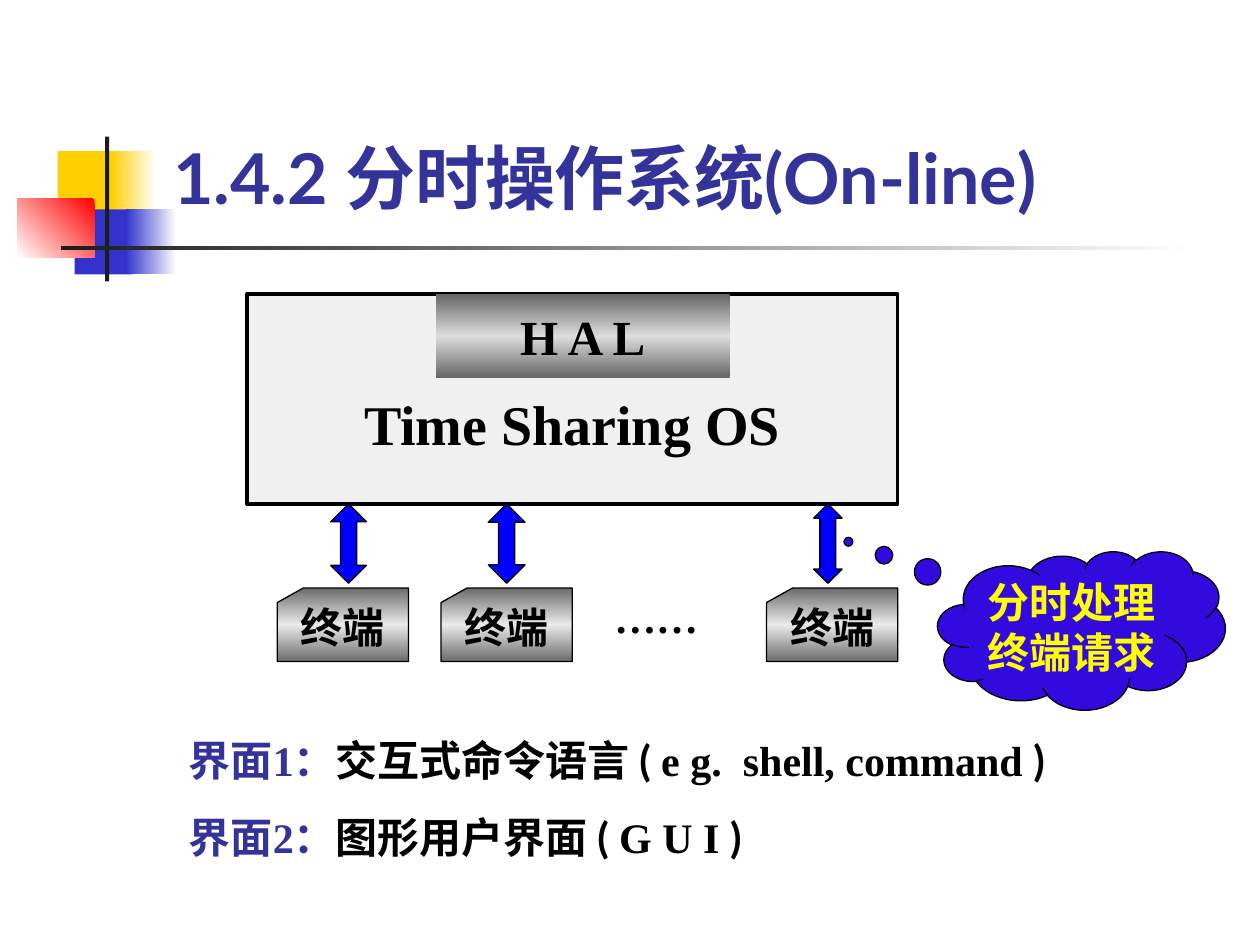
from lxml.etree import SubElement
from pptx import Presentation
from pptx.dml.color import RGBColor
from pptx.enum.shapes import MSO_SHAPE
from pptx.enum.text import MSO_ANCHOR, MSO_AUTO_SIZE, PP_ALIGN
from pptx.oxml.ns import qn
from pptx.util import Inches, Pt

COLORS = {
    "white": "FFFFFF", "black": "000000", "ink": "1C1C1C", "title": "333399",
    "gold": "FFCF01", "indigo": "3333CC", "red": "FF0000", "arrow": "0000FF",
    "cloud": "320ADE", "yellow": "FFFF00", "panel": "EAEAEA",
    "hal_dark": "656565", "hal_light": "DDDDDD", "card_dark": "6B6B6B",
}
SERIF, SANS = "Times New Roman", "Lato"
COLS, ROWS = 120, 90


def rgb(name):
    return RGBColor.from_string(COLORS[name])


def write(tf, paragraphs, size=24, color="black", font=SERIF, align=PP_ALIGN.LEFT,
          anchor=MSO_ANCHOR.TOP, insets=(0, 0, 0, 0), wrap=True, gap=0,
          fit=MSO_AUTO_SIZE.NONE):
    tf.word_wrap, tf.auto_size, tf.vertical_anchor = wrap, fit, anchor
    tf.margin_left, tf.margin_top, tf.margin_right, tf.margin_bottom = map(Inches, insets)
    for i, runs in enumerate(paragraphs):
        p = tf.add_paragraph() if i else tf.paragraphs[0]
        p.alignment = align
        p.space_before = Pt(gap if i else 0)
        for text, *style in runs:
            r = p.add_run()
            r.text = text
            r.font.size, r.font.bold = Pt(size), True
            r.font.name = SANS if "sans" in style else SERIF if style else font
            r.font.color.rgb = rgb("title" if "label" in style else color)


class Deck:
    def __init__(self):
        self.prs = Presentation()
        self.prs.slide_width, self.prs.slide_height = Inches(10), Inches(7.5)
        self.s = self.prs.slides.add_slide(self.prs.slide_layouts[5])

    def box(self, x, y, w, h):
        dx, dy = self.prs.slide_width / COLS, self.prs.slide_height / ROWS
        return [round(v) for v in (x * dx, y * dy, w * dx, h * dy)]

    def title(self, area, text):
        sp = self.s.shapes.title
        sp.left, sp.top, sp.width, sp.height = self.box(*area)
        write(sp.text_frame, [[(text,)]], size=40, color="title", font=SANS,
              anchor=MSO_ANCHOR.BOTTOM)

    def text(self, area, paragraphs):
        sp = self.s.shapes.add_textbox(*self.box(*area))
        write(sp.text_frame, paragraphs, gap=15, fit=MSO_AUTO_SIZE.SHAPE_TO_FIT_TEXT)

    def gradient(self, sp, colors, angle):
        sp.fill.gradient()
        sp.fill.gradient_angle = (360 - angle) % 360
        stops = sp.element.spPr.find(qn("a:gradFill")).find(qn("a:gsLst"))
        for gs in list(stops):
            stops.remove(gs)
        for i, name in enumerate(colors):
            gs = SubElement(stops, qn("a:gs"), pos=str(i * 100000 // (len(colors) - 1)))
            SubElement(gs, qn("a:srgbClr"), val=COLORS[name])

    def shape(self, area, fill, kind=MSO_SHAPE.RECTANGLE, angle=180, line=None,
              width=0.75, adj=(), alpha=None):
        sp = self.s.shapes.add_shape(kind, *self.box(*area))
        sp.shadow.inherit = False
        for i, value in enumerate(adj):
            sp.adjustments[i] = value
        if isinstance(fill, tuple):
            self.gradient(sp, fill, angle)
        else:
            sp.fill.solid()
            sp.fill.fore_color.rgb = rgb(fill)
        if alpha:
            color = sp.element.spPr.find(qn("a:solidFill")).find(qn("a:srgbClr"))
            SubElement(color, qn("a:alpha"), val=str(alpha * 1000))
        if line:
            sp.line.color.rgb = rgb(line)
            sp.line.width = Pt(width)
        else:
            sp.line.fill.background()
        return sp

    def label(self, sp, *lines, insets=(0.1, 0.05, 0.1, 0.05), **style):
        write(sp.text_frame, [[(line,)] for line in lines], insets=insets, wrap=False,
              align=PP_ALIGN.CENTER, anchor=MSO_ANCHOR.MIDDLE, **style)

    def ornament(self):
        self.shape((5.5, 14.4, 5.75, 6.2), "gold")
        self.shape((10.55, 14.4, 4.3, 6.2), ("white", "gold"))
        self.shape((7.1, 19.95, 5.5, 6.2), "indigo")
        self.shape((12, 19.95, 4.8, 6.2), ("white", "indigo"))
        self.shape((1.65, 18.95, 7.35, 5.55), ("red", "white"), angle=135)
        self.shape((10, 13, 0.4, 13.8), "ink")
        self.shape((5.8, 23.4, 108, 0.4), ("white", "ink"))

    def terminal(self, x):
        sp = self.shape((x, 56, 12.5, 7), ("card_dark", "panel", "card_dark"),
                        MSO_SHAPE.FLOWCHART_CARD, angle=90, line="black")
        self.label(sp, "终端", insets=(0.1, 0.05, 0.1, 0.13))

    def arrow(self, x, w, head):
        self.shape((x, 48, w, 7.55), "arrow", MSO_SHAPE.UP_DOWN_ARROW,
                   line="black", adj=(0.5, head))


def main():
    deck = Deck()
    deck.ornament()
    deck.title((16.5, 12.8, 94, 8), "1.4.2 分时操作系统(On-line)")
    deck.text((18, 70, 84, 17), [
        [("界面1：", "label"), ("交互式命令语言 ",), ("( ", "sans"),
         ("e g.  shell, command ",), (")", "sans")],
        [("界面2：", "label"), ("图形用户界面 ",), ("( ", "sans"),
         ("G U I ",), (")", "sans")],
    ])
    cloud = deck.shape((89.3, 52.5, 27.4, 15.1), "cloud", MSO_SHAPE.CLOUD_CALLOUT,
                       line="black", adj=(-0.81, -0.56))
    deck.label(cloud, "分时处理", "终端请求", color="yellow")
    system = deck.shape((23.5, 28, 62, 20), "panel", line="black", width=2, alpha=70)
    deck.label(system, "Time Sharing OS", size=32, insets=(0.1, 0.43, 0.1, 0.05))
    hal = deck.shape((41.5, 28, 28, 8), ("hal_dark", "hal_light", "hal_dark"), angle=90)
    deck.label(hal, "H A L", size=28)
    for x, w, head in ((31.5, 3.4, 0.45), (46.5, 3.5, 0.44), (77.5, 2.7, 0.56)):
        deck.arrow(x, w, head)
    for x in (26.4, 42, 73):
        deck.terminal(x)
    dots = deck.shape((58.5, 56.3, 9, 4.8), "white", line="white")
    write(dots.text_frame, [[("……",)]], fit=MSO_AUTO_SIZE.SHAPE_TO_FIT_TEXT)
    deck.prs.save("out.pptx")


if __name__ == "__main__":
    main()
